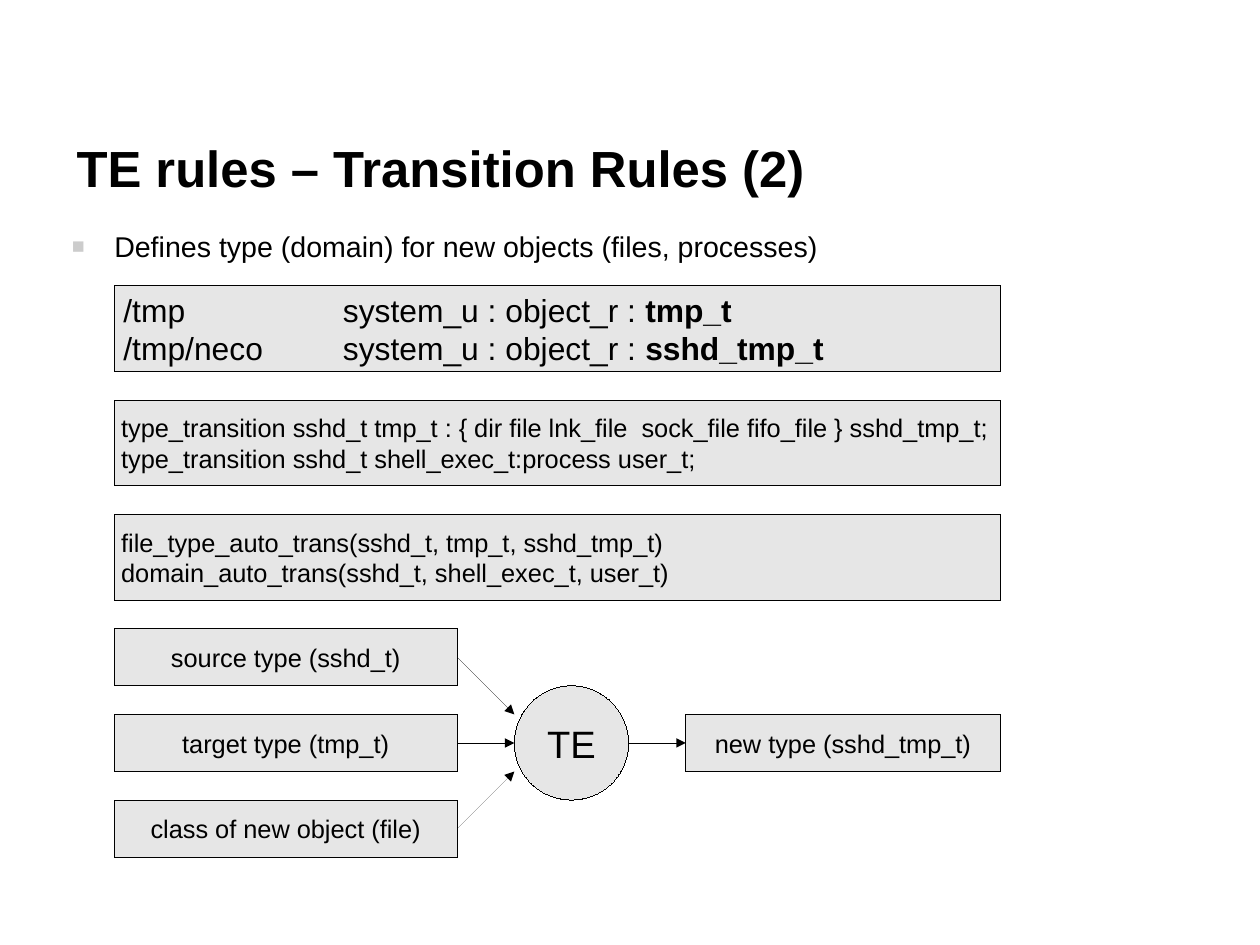
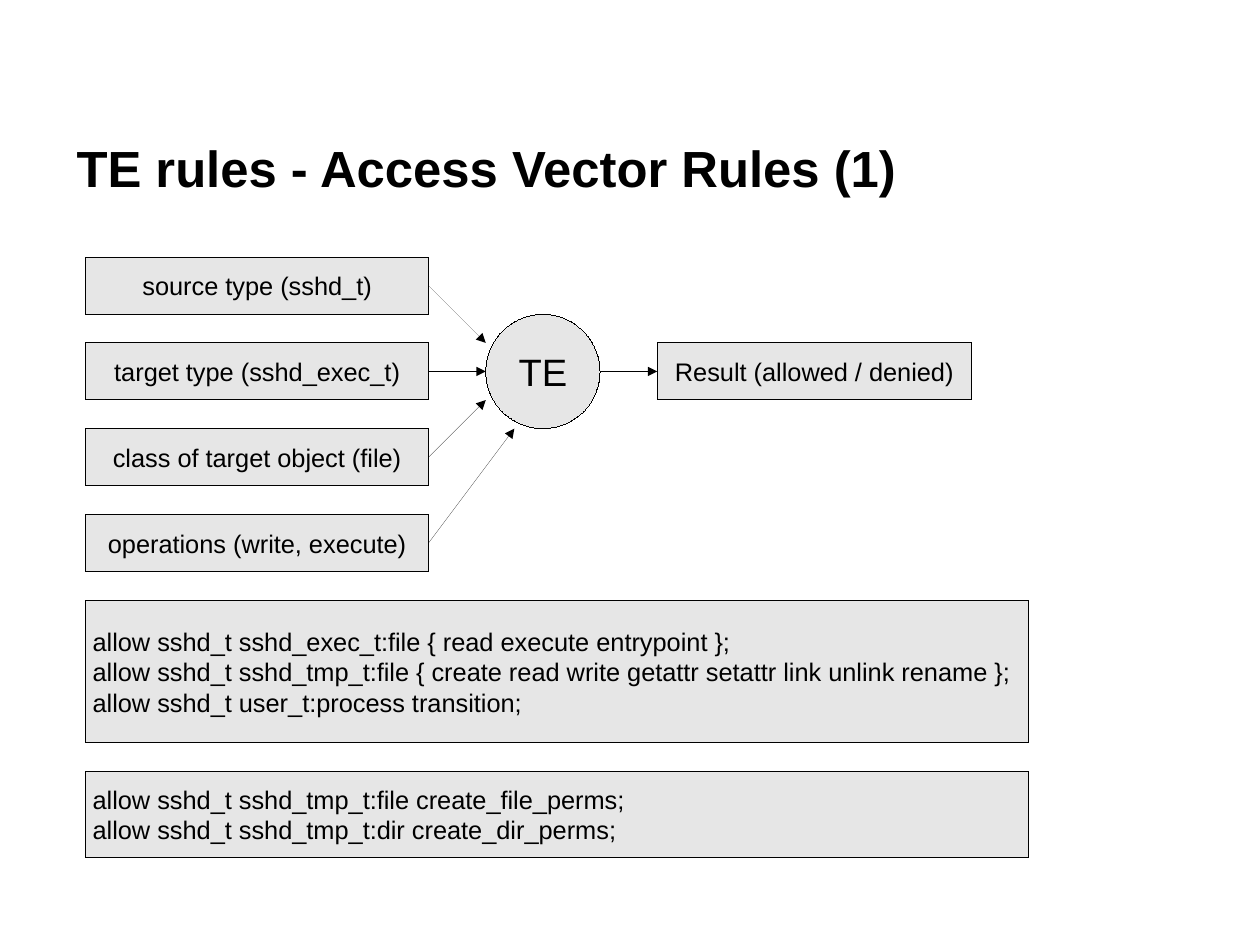
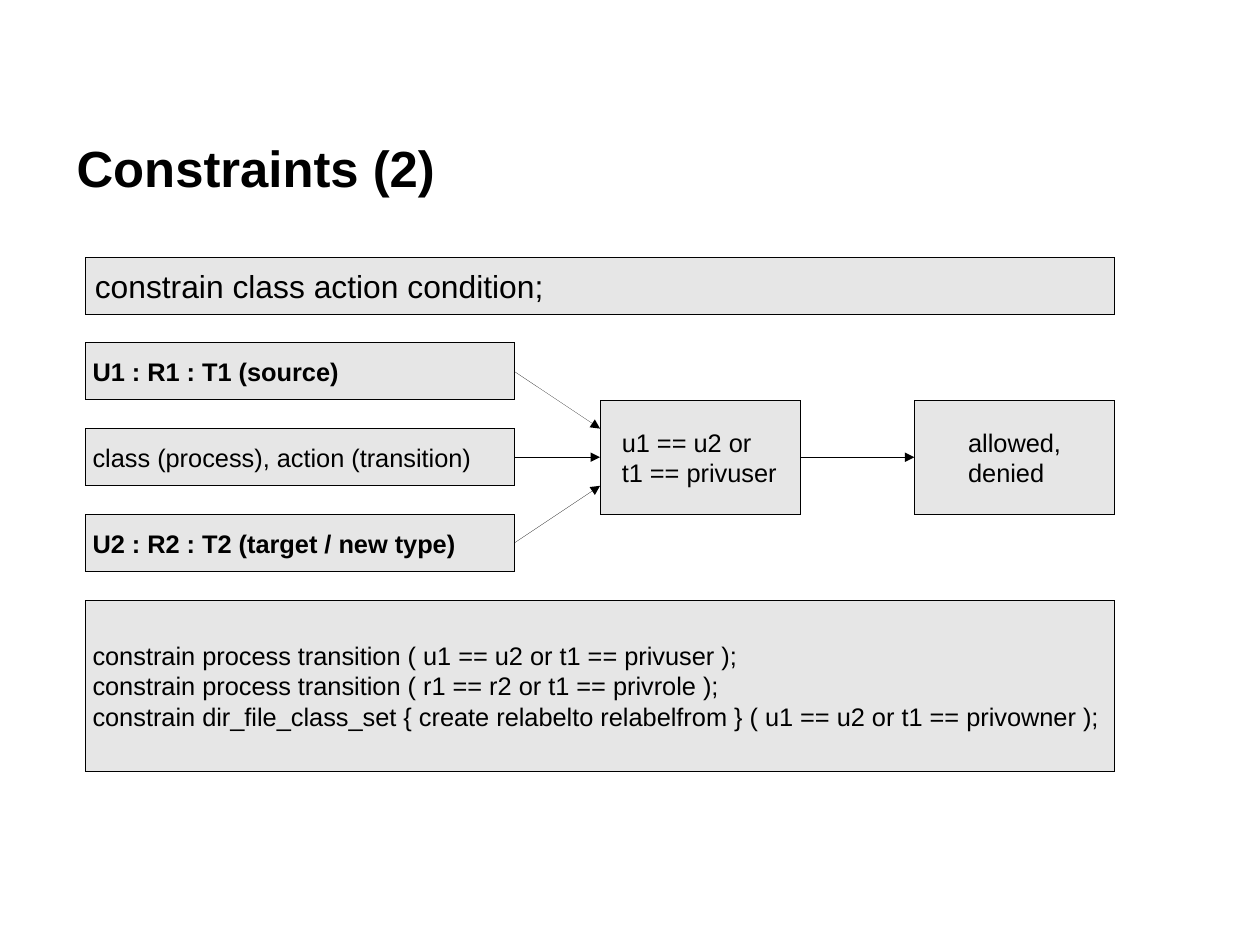
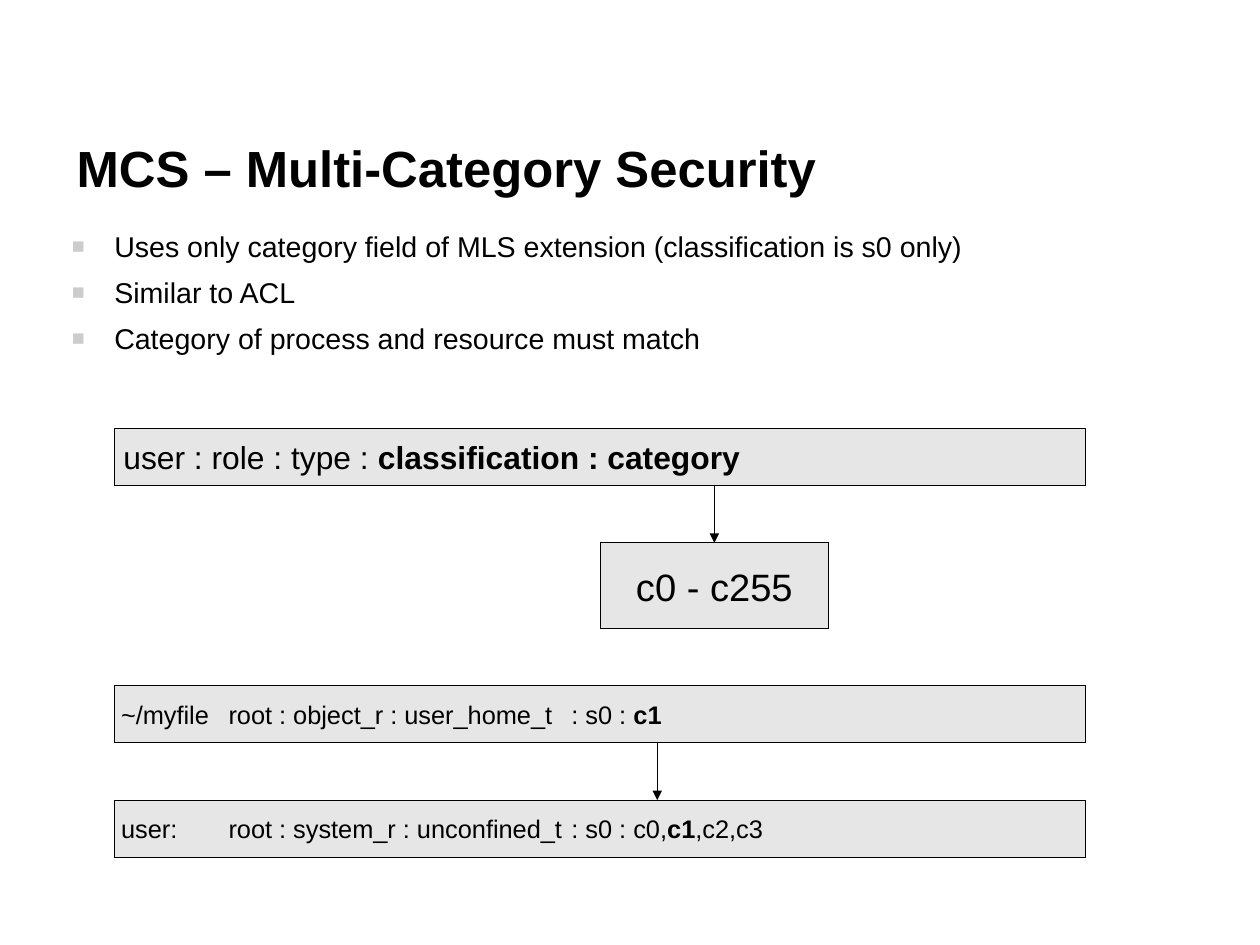
from lxml import etree
from pptx import Presentation
from pptx.dml.color import RGBColor
from pptx.enum.shapes import MSO_CONNECTOR, MSO_SHAPE
from pptx.enum.text import MSO_ANCHOR, PP_ALIGN
from pptx.oxml.ns import qn
from pptx.util import Inches, Pt

RECTANGLE, OVAL = MSO_SHAPE.RECTANGLE, MSO_SHAPE.OVAL
STRAIGHT = MSO_CONNECTOR.STRAIGHT
LEFT, CENTER = PP_ALIGN.LEFT, PP_ALIGN.CENTER
TOP, MIDDLE = MSO_ANCHOR.TOP, MSO_ANCHOR.MIDDLE

COLORS = {"text": "000000", "line": "000000", "panel": "E6E6E6", "bullet": "CCCCCC"}
FONT = "Arial"
CM_PER_INCH = 2.54
SLIDE_WIDTH, SLIDE_HEIGHT = 28 / CM_PER_INCH, 21 / CM_PER_INCH
TITLE_BOX = (0.67, 1.09, 9.37, 0.74)
BODY_LEFT, BODY_TOP, BODY_WIDTH = 0.63, 2, 9.37
BULLET_INDENT = 0.37
SMALL_INSET, LARGE_INSET = 0.06, 0.08
INPUT_HEIGHT, INPUT_PITCH, DECISION_HEIGHT = 0.5, 0.75, 1


def color(name):
    return RGBColor.from_string(COLORS[name])


def add_element(parent, tag, **attributes):
    return etree.SubElement(parent, qn(tag), attributes)


def set_hairline(line):
    """Write the zero width out, as python-pptx drops it and the theme width returns."""
    line.color.rgb = color("line")
    outline = line._get_or_add_ln()
    outline.set("w", "0")
    return outline


def add_bullet(paragraph):
    properties = paragraph._p.get_or_add_pPr()
    indent = Inches(BULLET_INDENT)
    properties.set("marL", str(indent))
    properties.set("indent", str(-indent))
    bullet_color = add_element(properties, "a:buClr")
    add_element(bullet_color, "a:srgbClr", val=COLORS["bullet"])
    add_element(properties, "a:buSzPct", val="75000")
    add_element(properties, "a:buFont", typeface=FONT)
    add_element(properties, "a:buChar", char="■")


def add_tabs(paragraph, positions):
    tab_list = add_element(paragraph._p.get_or_add_pPr(), "a:tabLst")
    for position in positions:
        add_element(tab_list, "a:tab", pos=str(Inches(position)), algn="l")


def write_text(shape, lines, size=16, bold=False, align=LEFT, anchor=MIDDLE,
               inset=0, tabs=(), bullets=False, gap=0):
    """Each line is a string or a list of (text, bold) runs."""
    frame = shape.text_frame
    frame.word_wrap = True
    frame.vertical_anchor = anchor
    frame.margin_left = Inches(inset)
    frame.margin_top = frame.margin_right = frame.margin_bottom = 0
    for index, line in enumerate(lines):
        paragraph = frame.add_paragraph() if index else frame.paragraphs[0]
        paragraph.alignment = align
        if bullets:
            add_bullet(paragraph)
        if tabs:
            add_tabs(paragraph, tabs)
        if index and gap:
            paragraph.space_before = Pt(gap)
        runs = [(line, bold)] if isinstance(line, str) else line
        for text, run_bold in runs:
            run = paragraph.add_run()
            run.text = text
            run.font.name = FONT
            run.font.size = Pt(size)
            run.font.bold = run_bold
            run.font.color.rgb = color("text")


def add_text_box(slide, box, lines, **text_format):
    shape = slide.shapes.add_textbox(*map(Inches, box))
    write_text(shape, lines, **text_format)


def add_panel(slide, box, lines, kind=RECTANGLE, **text_format):
    shape = slide.shapes.add_shape(kind, *map(Inches, box))
    shape.shadow.inherit = False
    shape.fill.solid()
    shape.fill.fore_color.rgb = color("panel")
    set_hairline(shape.line)
    write_text(shape, lines, **text_format)


def add_arrow(slide, start, end):
    connector = slide.shapes.add_connector(STRAIGHT, *map(Inches, (*start, *end)))
    outline = set_hairline(connector.line)
    add_element(outline, "a:tailEnd", type="triangle")
    add_element(connector._element.spPr, "a:effectLst")


def add_flow(slide, left, top, inputs, decision, result, widths=(3, 1, 2.75),
             gaps=(0.5, 0.5), result_height=0.5, input_format=None,
             decision_format=None, result_format=None):
    """Stacked inputs point to a decision, level with the second, then a result."""
    input_width, decision_width, result_width = widths
    input_right = left + input_width
    decision_left = input_right + gaps[0]
    decision_right = decision_left + decision_width
    result_left = decision_right + gaps[1]
    middle = top + INPUT_PITCH + INPUT_HEIGHT / 2
    decision_top = middle - DECISION_HEIGHT / 2
    targets = [(decision_left, decision_top + 0.25 * step) for step in (1, 2, 3)]
    targets.append((decision_left + 0.25, decision_top + DECISION_HEIGHT))

    for index, (line, target) in enumerate(zip(inputs, targets)):
        input_top = top + index * INPUT_PITCH
        add_panel(slide, (left, input_top, input_width, INPUT_HEIGHT), [line],
                  **(input_format or {"align": CENTER}))
        add_arrow(slide, (input_right, input_top + INPUT_HEIGHT / 2), target)
    add_panel(slide, (decision_left, decision_top, decision_width, DECISION_HEIGHT),
              decision, **(decision_format or {"kind": OVAL, "size": 24, "align": CENTER}))
    add_panel(slide, (result_left, middle - result_height / 2, result_width, result_height),
              result, **(result_format or {"align": CENTER}))
    add_arrow(slide, (decision_right, middle), (result_left, middle))


def add_titled_slide(presentation, title):
    slide = presentation.slides.add_slide(presentation.slide_layouts[6])
    add_text_box(slide, TITLE_BOX, [title], size=32, bold=True)
    return slide


def add_bullets(slide, lines, height):
    add_text_box(slide, (BODY_LEFT, BODY_TOP, BODY_WIDTH, height), lines,
                 size=18, anchor=TOP, bullets=True, gap=7.6)


def build_transition_rules(presentation):
    slide = add_titled_slide(presentation, "TE rules – Transition Rules (2)")
    add_bullets(slide, ["Defines type (domain) for new objects (files, processes)"], 5.82)
    left, width, height = 1, 7.75, 0.75
    context = "system_u : object_r : "
    add_panel(slide, (left, 2.5, width, height), [
        [("/tmp\t" + context, False), ("tmp_t", True)],
        [("/tmp/neco\t" + context, False), ("sshd_tmp_t", True)],
    ], size=20, inset=LARGE_INSET, tabs=[2 - LARGE_INSET])
    rules = [
        ["type_transition sshd_t tmp_t : { dir file lnk_file  sock_file fifo_file } sshd_tmp_t;",
         "type_transition sshd_t shell_exec_t:process user_t;"],
        ["file_type_auto_trans(sshd_t, tmp_t, sshd_tmp_t)",
         "domain_auto_trans(sshd_t, shell_exec_t, user_t)"],
    ]
    for index, lines in enumerate(rules):
        add_panel(slide, (left, 3.5 + index, width, height), lines, inset=SMALL_INSET)
    add_flow(slide, left, 5.5,
             ["source type (sshd_t)", "target type (tmp_t)", "class of new object (file)"],
             ["TE"], ["new type (sshd_tmp_t)"])


def build_access_vector_rules(presentation):
    slide = add_titled_slide(presentation, "TE rules - Access Vector Rules (1)")
    left, width = 0.75, 8.25
    add_flow(slide, left, 2.25,
             ["source type (sshd_t)", "target type (sshd_exec_t)",
              "class of target object (file)", "operations (write, execute)"],
             ["TE"], ["Result (allowed / denied)"])
    add_panel(slide, (left, 5.25, width, 1.25), [
        "allow sshd_t sshd_exec_t:file { read execute entrypoint };",
        "allow sshd_t sshd_tmp_t:file { create read write getattr setattr link unlink rename };",
        "allow sshd_t user_t:process transition;",
    ], inset=SMALL_INSET)
    add_panel(slide, (left, 6.75, width, 0.75), [
        "allow sshd_t sshd_tmp_t:file create_file_perms;",
        "allow sshd_t sshd_tmp_t:dir create_dir_perms;",
    ], inset=SMALL_INSET)


def build_constraints(presentation):
    slide = add_titled_slide(presentation, "Constraints (2)")
    left, width = 0.75, 9
    add_panel(slide, (left, 2.25, width, 0.5), ["constrain class action condition;"],
              size=20, inset=LARGE_INSET)
    add_flow(slide, left, 3,
             [[("U1 : R1 : T1 (source)", True)],
              "class (process), action (transition)",
              [("U2 : R2 : T2 (target / new type)", True)]],
             ["u1 == u2 or", "t1 == privuser"], ["allowed,", "denied"],
             widths=(3.75, 1.75, 1.75), gaps=(0.75, 1), result_height=1,
             input_format={"inset": SMALL_INSET},
             decision_format={"inset": 0.19}, result_format={"inset": 0.47})
    add_panel(slide, (left, 5.25, width, 1.5), [
        "constrain process transition ( u1 == u2 or t1 == privuser );",
        "constrain process transition ( r1 == r2 or t1 == privrole );",
        "constrain dir_file_class_set { create relabelto relabelfrom } "
        "( u1 == u2 or t1 == privowner );",
    ], inset=SMALL_INSET)


def build_category_security(presentation):
    slide = add_titled_slide(presentation, "MCS – Multi-Category Security")
    add_bullets(slide, [
        "Uses only category field of MLS extension (classification is s0 only)",
        "Similar to ACL",
        "Category of process and resource must match",
    ], 6)
    left, width, height = 1, 8.5, 0.5
    add_panel(slide, (left, 3.75, width, height),
              [[("user : role : type : ", False), ("classification : category", True)]],
              size=20, inset=LARGE_INSET)
    add_panel(slide, (5.25, 4.75, 2, 0.75), ["c0 - c255"], size=24, align=CENTER)
    contexts = [
        [("~/myfile\troot : object_r : user_home_t\t: s0 : ", False), ("c1", True)],
        [("user:\troot : system_r : unconfined_t\t: s0 : c0,", False),
         ("c1", True), (",c2,c3", False)],
    ]
    for index, runs in enumerate(contexts):
        add_panel(slide, (left, 6 + index, width, height), [runs], inset=SMALL_INSET,
                  tabs=[1 - SMALL_INSET, 4 - SMALL_INSET])
    for x, y in ((6.25, 4.25), (5.75, 6.5)):
        add_arrow(slide, (x, y), (x, y + 0.5))


def main():
    presentation = Presentation()
    presentation.slide_width = Inches(SLIDE_WIDTH)
    presentation.slide_height = Inches(SLIDE_HEIGHT)
    build_transition_rules(presentation)
    build_access_vector_rules(presentation)
    build_constraints(presentation)
    build_category_security(presentation)
    presentation.save("out.pptx")


if __name__ == "__main__":
    main()
